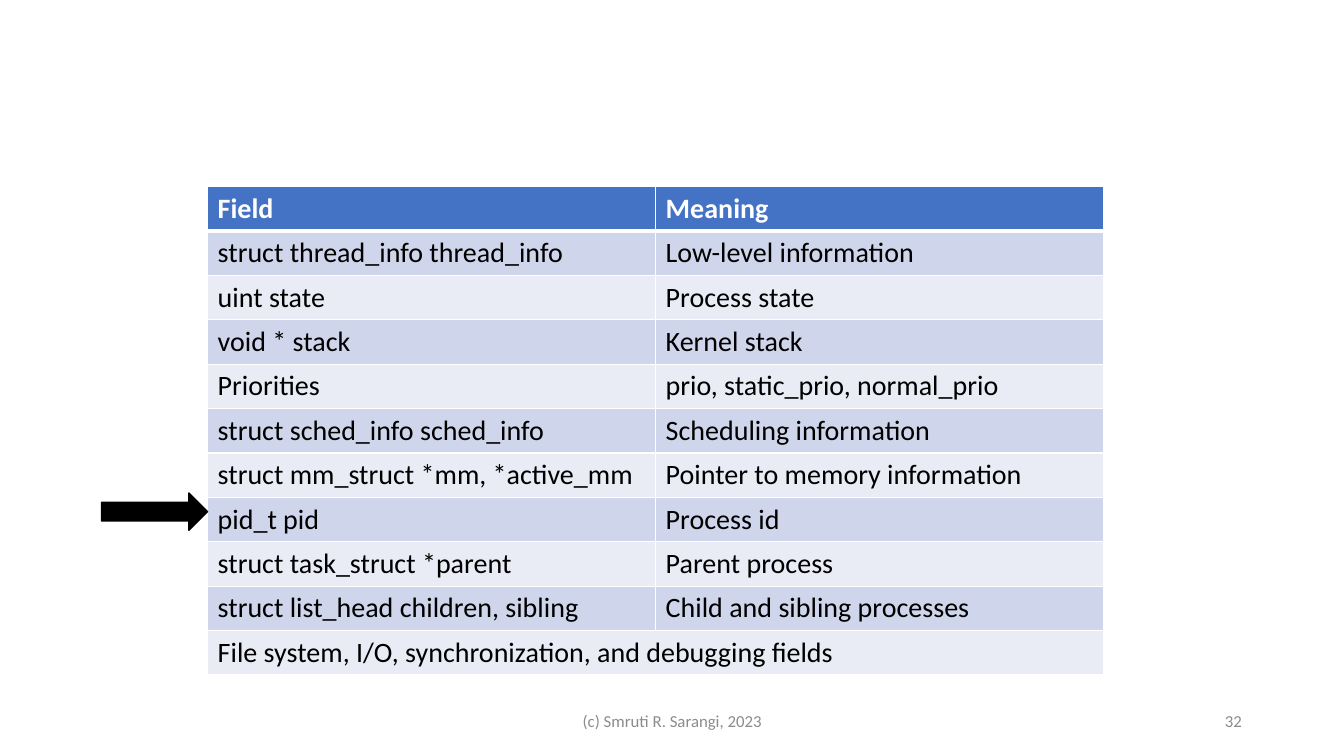
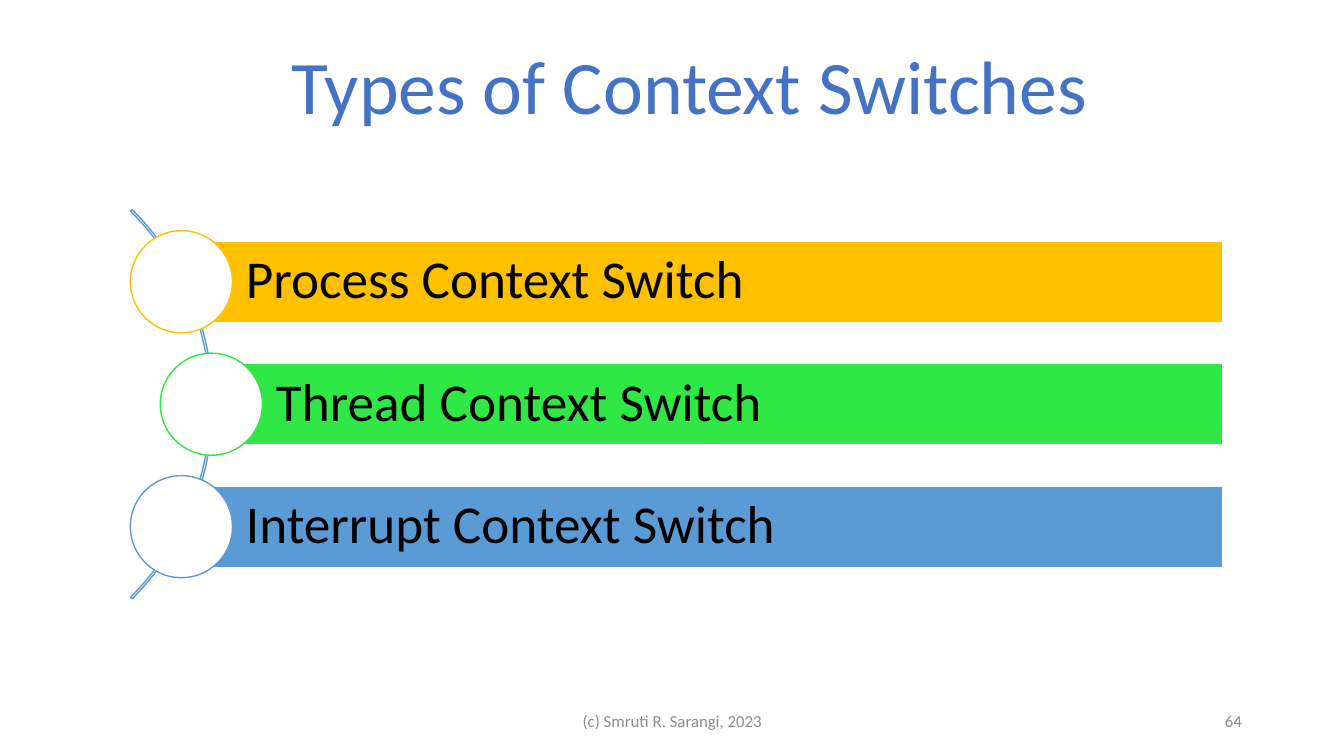
from lxml.etree import SubElement
from pptx import Presentation
from pptx.dml.color import RGBColor
from pptx.enum.shapes import MSO_SHAPE
from pptx.enum.text import MSO_ANCHOR, PP_ALIGN
from pptx.oxml.ns import qn
from pptx.util import Inches, Pt

FONT = "Calibri"
COLUMN = Inches(13.333) / 100
ROW = Inches(7.5) / 100
COLORS = {
    "white": "FFFFFF", "black": "000000", "grey": "8C8C8C",
    "header": "4472C4", "dark_band": "CFD5EA", "light_band": "E9EBF5",
    "gold": "FFC000", "green": "30E845", "blue": "5B9BD5",
}
CREDIT = "(c) Smruti R. Sarangi, 2023"
FIELDS = [
    ("Field", "Meaning"),
    ("struct thread_info thread_info", "Low-level information"),
    ("uint state", "Process state"),
    ("void * stack", "Kernel stack"),
    ("Priorities", "prio, static_prio, normal_prio"),
    ("struct sched_info sched_info", "Scheduling information"),
    ("struct mm_struct *mm, *active_mm", "Pointer to memory information"),
    ("pid_t pid", "Process id"),
    ("struct task_struct *parent", "Parent process"),
    ("struct list_head children, sibling", "Child and sibling processes"),
    ("File system, I/O, synchronization, and debugging fields", ""),
]
SWITCHES = [
    ("Process Context Switch", "gold", 13.5),
    ("Thread Context Switch", "green", 15.73),
    ("Interrupt Context Switch", "blue", 13.5),
]


def rgb(color):
    """Look up a named colour."""
    return RGBColor.from_string(COLORS[color])


def grid(left, top, width, height):
    """Turn columns and rows, hundredths of the slide, into lengths."""
    return (round(left * COLUMN), round(top * ROW),
            round(width * COLUMN), round(height * ROW))


def write(frame, text, size, color, bold=False, align=PP_ALIGN.LEFT):
    """Write one run into the first paragraph and return the paragraph."""
    paragraph = frame.paragraphs[0]
    paragraph.alignment = align
    run = paragraph.add_run()
    run.text = text
    run.font.name = FONT
    run.font.size = Pt(size)
    run.font.bold = bold
    run.font.color.rgb = rgb(color)
    return paragraph


def add_label(slide, box, text, size, color, align, anchor=MSO_ANCHOR.MIDDLE):
    """Add a text box with one line of text."""
    frame = slide.shapes.add_textbox(*grid(*box)).text_frame
    frame.word_wrap = True
    frame.vertical_anchor = anchor
    write(frame, text, size, color, align=align)


def add_figure(slide, preset, box, fill, line):
    """Add a preset shape; without a fill colour it stays hollow."""
    figure = slide.shapes.add_shape(preset, *grid(*box))
    figure.shadow.inherit = False
    if fill:
        figure.fill.solid()
        figure.fill.fore_color.rgb = rgb(fill)
    else:
        figure.fill.background()
    figure.line.color.rgb = rgb(line)
    figure.line.width = Pt(1)
    return figure


def add_footer(slide, number):
    """Add the credit and the slide number."""
    add_label(slide, (33.15, 92.67, 33.75, 5.33), CREDIT, 12, "grey", PP_ALIGN.CENTER)
    add_label(slide, (70.65, 92.67, 22.5, 5.33), number, 12, "grey", PP_ALIGN.RIGHT)


def add_title(slide, text):
    """Add the large centred title."""
    add_label(slide, (19.65, 4.53, 63.3, 13.47), text, 54, "header",
              PP_ALIGN.CENTER, MSO_ANCHOR.TOP)


def set_borders(cell, top, bottom):
    """Draw white cell borders, with top and bottom widths in points."""
    properties = cell._tc.get_or_add_tcPr()
    for side, width in (("L", 1), ("R", 1), ("T", top), ("B", bottom)):
        border = SubElement(properties, qn(f"a:ln{side}"), w=str(Pt(width)))
        paint = SubElement(border, qn("a:solidFill"))
        SubElement(paint, qn("a:srgbClr"), val=COLORS["white"])


def add_field_table(slide, left, top, width, row_height):
    """Add the banded table of fields, whose last row spans both columns."""
    box = grid(left, top, width, row_height * len(FIELDS))
    table = slide.shapes.add_table(len(FIELDS), 2, *box).table
    for index, texts in enumerate(FIELDS):
        heading = index == 0
        band = "header" if heading else "dark_band" if index % 2 else "light_band"
        for cell, text in zip(table.rows[index].cells, texts):
            set_borders(cell, 3 if index == 1 else 1, 3 if heading else 1)
            cell.fill.solid()
            cell.fill.fore_color.rgb = rgb(band)
            if text:
                write(cell.text_frame, text, 20, "white" if heading else "black", heading)
    last = len(FIELDS) - 1
    table.cell(last, 0).merge(table.cell(last, 1))


def add_switch(slide, text, color, left, top):
    """Add a coloured bar with a circle centred on its left end."""
    right, height, circle_width, circle_height = 91, 10.8, 7.6, 13.5
    bar = add_figure(slide, MSO_SHAPE.RECTANGLE,
                     (left, top, right - left, height), color, "white")
    frame = bar.text_frame
    frame.word_wrap = True
    frame.vertical_anchor = MSO_ANCHOR.MIDDLE
    frame.margin_left = round(4.8 * COLUMN)
    frame.margin_right = frame.margin_top = frame.margin_bottom = round(0.8 * COLUMN)
    write(frame, text, 38, "black").line_spacing = 0.9
    add_figure(slide, MSO_SHAPE.OVAL,
               (left - circle_width / 2, top + (height - circle_height) / 2,
                circle_width, circle_height), "white", color)


def build_fields(slide):
    """Build the slide on the fields of a process, with the pid marked."""
    add_field_table(slide, 15.45, 24.67, 66.67, 5.87)
    add_figure(slide, MSO_SHAPE.RIGHT_ARROW, (7.55, 65.2, 7.9, 4.95), "black", "black")
    add_footer(slide, "32")


def build_switches(slide):
    """Build the slide on the types of context switches."""
    arc = add_figure(slide, MSO_SHAPE.BLOCK_ARC, (-25.12, 17.07, 40.95, 72.8), None, "blue")
    for index, value in enumerate((189, 27, 0.004)):
        arc.adjustments[index] = value
    for index, (text, color, left) in enumerate(SWITCHES):
        add_switch(slide, text, color, left, 31.87 + 16.2 * index)
    add_footer(slide, "64")
    add_title(slide, "Types of Context Switches")


def main():
    """Build both slides and save the deck."""
    deck = Presentation()
    deck.slide_width = Inches(13.333)
    deck.slide_height = Inches(7.5)
    for build in (build_fields, build_switches):
        build(deck.slides.add_slide(deck.slide_layouts[6]))
    deck.save("out.pptx")


if __name__ == "__main__":
    main()
